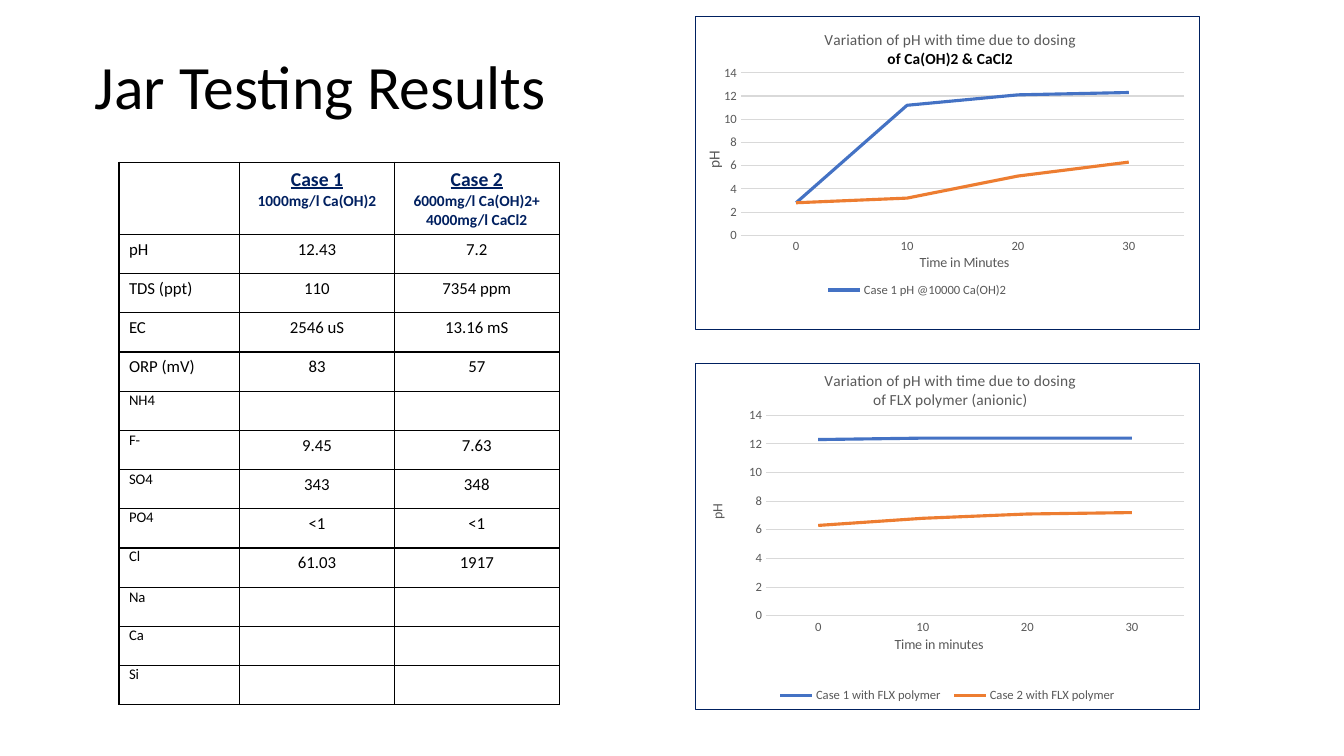
from lxml import etree
from pptx import Presentation
from pptx.chart import data
from pptx.dml import color
from pptx.enum import chart as kinds, text
from pptx.oxml import ns, parse_xml
from pptx.util import Emu, Inches, Pt

HUES = {"ink": "000000", "navy": "002060", "gray": "595959",
        "grid": "D9D9D9", "blue": "4472C4", "orange": "ED7D31"}
FONT = "Calibri"
MID = text.PP_ALIGN.CENTER
LEFT = text.PP_ALIGN.LEFT


def rgb(name):
    return color.RGBColor.from_string(HUES[name])


def write(frame, words, size=12, hue="ink", bold=False, under=False,
          align=MID, lead=None, before=None, more=False):
    par = frame.add_paragraph() if more else frame.paragraphs[0]
    par.alignment = align
    par.line_spacing = lead
    par.space_before = before
    run = par.add_run()
    run.text = words
    font = run.font
    font.name, font.size, font.bold, font.underline = FONT, Pt(size), bold, under
    font.color.rgb = rgb(hue)


deck = Presentation()
deck.slide_width, deck.slide_height = Inches(13.33), Inches(7.5)
col, row = deck.slide_width / 100, deck.slide_height / 100
slide = deck.slides.add_slide(deck.slide_layouts[5])

# Title
head = slide.shapes.title
head.left, head.top = Emu(int(6.3 * col)), Emu(int(6.13 * row))
head.width, head.height = Emu(int(86.27 * col)), Emu(int(11.47 * row))
head.text_frame.vertical_anchor = text.MSO_ANCHOR.MIDDLE
write(head.text_frame, "Jar Testing Results", size=44, align=LEFT, lead=0.9)

# Results table
cases = [["Case 1", "1000mg/l Ca(OH)2"],
         ["Case 2", "6000mg/l Ca(OH)2+", "4000mg/l CaCl2"]]
tests = [("pH", "12.43", "7.2"), ("TDS (ppt)", "110", "7354 ppm"),
         ("EC", "2546 uS", "13.16 mS"), ("ORP (mV)", "83", "57"),
         ("NH4", "", ""), ("F-", "9.45", "7.63"), ("SO4", "343", "348"),
         ("PO4", "<1", "<1"), ("Cl", "61.03", "1917"),
         ("Na", "", ""), ("Ca", "", ""), ("Si", "", "")]
wides, tall, top = [9, 11.48, 12.3], 5.19, 9.47
grid = slide.shapes.add_table(
    len(tests) + 1, 3, int(8.85 * col), int(21.47 * row),
    int(sum(wides) * col), int((top + tall * len(tests)) * row)).table
grid.first_row = grid.horz_banding = False
for part, wide in zip(grid.columns, wides):
    part.width = Emu(int(wide * col))
for i, part in enumerate(grid.rows):
    part.height = Emu(int((tall if i else top) * row))

for cell, lines in zip(list(grid.rows[0].cells)[1:], cases):
    for i, line in enumerate(lines):
        write(cell.text_frame, line, size=11 if i else 14, hue="navy",
              bold=True, under=not i, more=i > 0)

for i, test in enumerate(tests):
    for j, words in enumerate(test):
        cell = grid.cell(i + 1, j)
        ion = j == 0 and i > 3
        if ion or not words:
            cell.margin_top = cell.margin_bottom = 0
        if ion:
            lead = Pt(13.8) if words in ("F-", "SO4", "Na") else None
            write(cell.text_frame, words, size=10.5, align=LEFT,
                  lead=lead, before=Pt(0.5))
        elif words:
            write(cell.text_frame, words, align=MID if j else LEFT)

# Cell borders
for cell in grid.iter_cells():
    props = cell._tc.get_or_add_tcPr()
    for side in ("a:lnL", "a:lnR", "a:lnT", "a:lnB"):
        line = etree.SubElement(props, ns.qn(side), w=str(Pt(1)))
        fill = etree.SubElement(line, ns.qn("a:solidFill"))
        etree.SubElement(fill, ns.qn("a:srgbClr"), val=HUES["ink"])
    cell.fill.background()

# Line charts, with each part's place as shares of the chart
plots = [
    dict(top=2.13, high=41.47, title="of Ca(OH)2 & CaCl2", strong=True,
         time="Time in Minutes", size=11,
         lines=[("Case 1 pH @10000 Ca(OH)2", [2.8, 11.2, 12.1, 12.3]),
                ("", [2.8, 3.2, 5.1, 6.3])],
         spots=[(0.25, 0.03), (0.44, 0.75), (0.01, 0.42),
                (0.25, 0.84, 0.38, 0.07), (0.09, 0.18, 0.88, 0.52)]),
    dict(top=48, high=45.87, title="of FLX polymer (anionic)", strong=False,
         time="Time in minutes", size=10,
         lines=[("Case 1 with FLX polymer", [12.3, 12.4, 12.4, 12.4]),
                ("Case 2 with FLX polymer", [6.3, 6.8, 7.1, 7.2])],
         spots=[(0.25, 0.01), (0.39, 0.78), (0.02, 0.4),
                (0.15, 0.94, 0.7, 0.06), (0.14, 0.15, 0.83, 0.58)])]

for plot in plots:
    feed = data.CategoryChartData()
    feed.categories = ["0", "10", "20", "30"]
    for name, vals in plot["lines"]:
        feed.add_series(name, vals)
    chart = slide.shapes.add_chart(
        kinds.XL_CHART_TYPE.LINE, int(51.7 * col), int(plot["top"] * row),
        int(37.58 * col), int(plot["high"] * row), feed).chart
    chart.font.name, chart.font.size = FONT, Pt(10)

    # Titles
    frame = chart.chart_title.text_frame
    write(frame, "Variation of pH with time due to dosing", size=11, hue="gray")
    write(frame, plot["title"], size=11, bold=plot["strong"],
          hue="ink" if plot["strong"] else "gray", more=True)
    times, acids = chart.category_axis, chart.value_axis
    write(times.axis_title.text_frame, plot["time"], size=10, hue="gray")
    frame = acids.axis_title.text_frame
    write(frame, "pH", size=plot["size"], hue="gray")
    frame._txBody.bodyPr.set("rot", "-5400000")
    frame._txBody.bodyPr.set("vert", "horz")

    # Axes
    for axis in (times, acids):
        axis.major_tick_mark = axis.minor_tick_mark = kinds.XL_TICK_MARK.NONE
        font = axis.tick_labels.font
        font.name, font.size, font.color.rgb = FONT, Pt(9), rgb("gray")
    acids.minimum_scale, acids.maximum_scale, acids.major_unit = 0, 14, 2
    acids.format.line.fill.background()
    for line in (times.format.line, acids.major_gridlines.format.line):
        line.color.rgb, line.width = rgb("grid"), Pt(0.75)

    # Series and legend
    chart.plots[0].vary_by_categories = False
    for run, hue in zip(chart.plots[0].series, ("blue", "orange")):
        run.smooth = False
        run.marker.style = kinds.XL_MARKER_STYLE.NONE
        run.format.line.color.rgb, run.format.line.width = rgb(hue), Pt(2.25)
    chart.has_legend = True
    key = chart.legend
    key.position = kinds.XL_LEGEND_POSITION.BOTTOM
    key.include_in_layout = False
    key.font.name, key.font.size, key.font.color.rgb = FONT, Pt(9), rgb("gray")

    # An unnamed series has no legend entry
    for i, (name, vals) in enumerate(plot["lines"]):
        if not name:
            key._element.find(ns.qn("c:legendPos")).addnext(parse_xml(
                f'<c:legendEntry {ns.nsdecls("c")}><c:idx val="{i}"/>'
                '<c:delete val="1"/></c:legendEntry>'))

    # Placement of the parts
    space = chart._chartSpace
    area = space.chart.find(ns.qn("c:plotArea"))
    parts = [chart.chart_title._element, times.axis_title._element,
             acids.axis_title._element, key._element, area]
    for part, spot in zip(parts, plot["spots"]):
        for old in part.findall(ns.qn("c:layout")):
            part.remove(old)
        first = [ns.qn(t) for t in ("c:tx", "c:legendPos", "c:legendEntry")]
        box = etree.Element(ns.qn("c:layout"))
        part.insert(sum(kid.tag in first for kid in part), box)
        place = etree.SubElement(box, ns.qn("c:manualLayout"))
        if part is area:
            etree.SubElement(place, ns.qn("c:layoutTarget"), val="inner")
        for side in "xy":
            etree.SubElement(place, ns.qn(f"c:{side}Mode"), val="edge")
        for side, share in zip("xywh", spot):
            etree.SubElement(place, ns.qn(f"c:{side}"), val=str(share))

    # Frame
    space.chart.addnext(parse_xml(
        f'<c:spPr {ns.nsdecls("c", "a")}><a:noFill/><a:ln w="{Pt(0.75)}">'
        f'<a:solidFill><a:srgbClr val="{HUES["navy"]}"/></a:solidFill>'
        '</a:ln></c:spPr>'))

deck.save("out.pptx")
